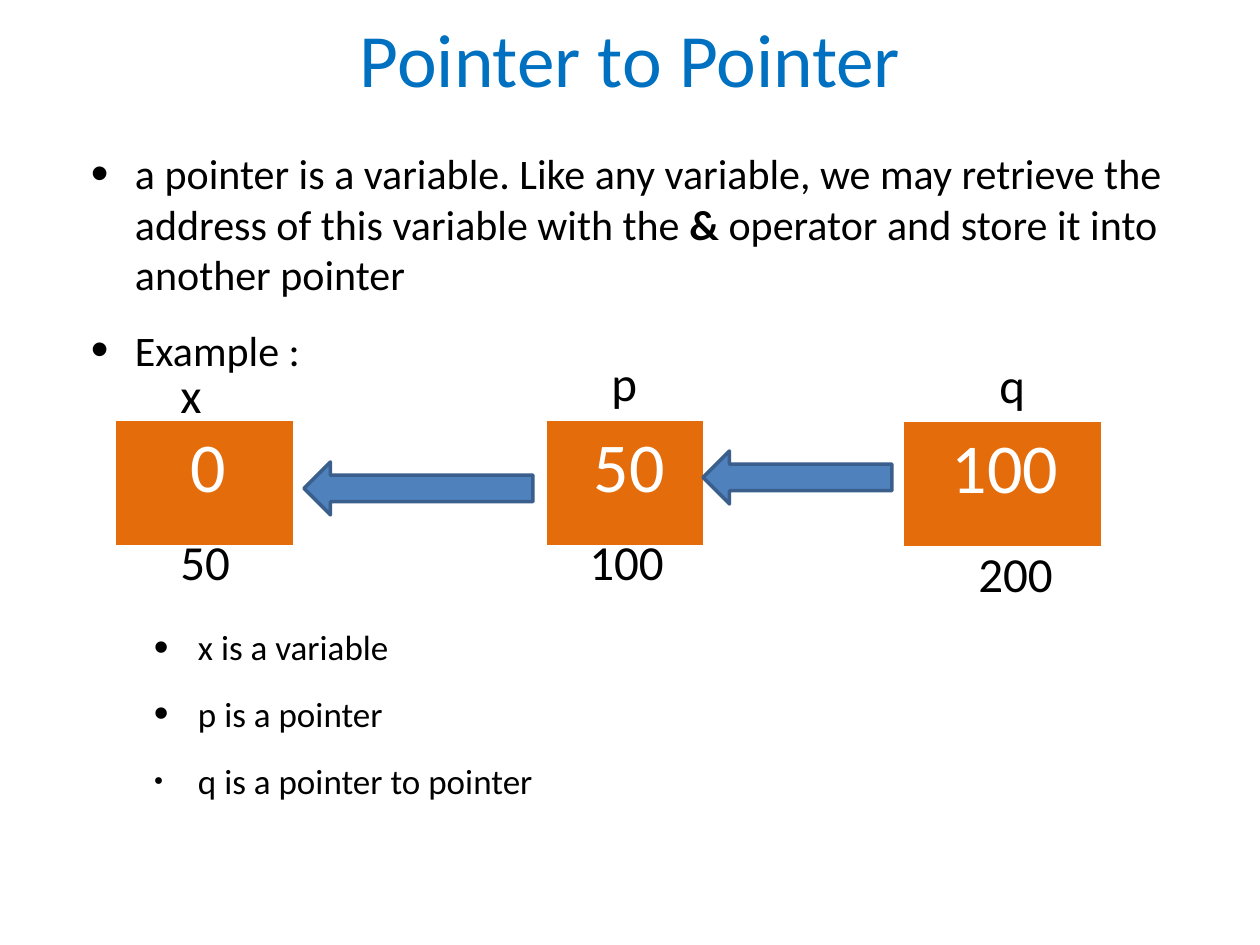
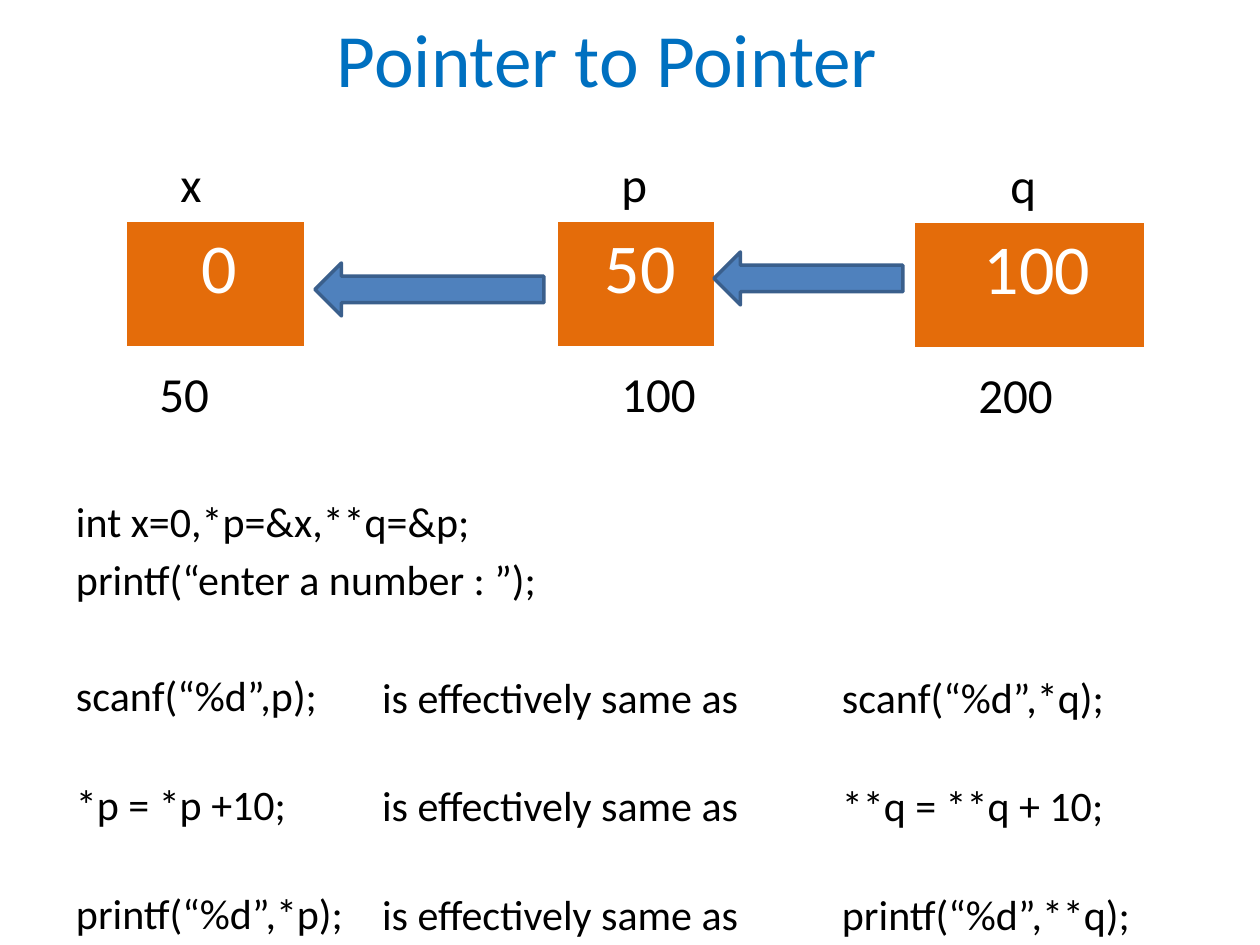
from dataclasses import dataclass

from lxml.etree import SubElement
from pptx import Presentation
from pptx.dml.color import RGBColor
from pptx.enum.shapes import MSO_SHAPE
from pptx.enum.text import MSO_ANCHOR, MSO_AUTO_SIZE, PP_ALIGN
from pptx.oxml import parse_xml
from pptx.oxml.ns import nsdecls, qn
from pptx.util import Emu, Pt

PX_PER_INCH = 126
SLIDE_WIDTH, SLIDE_HEIGHT = 1260, 945
FONT = "Calibri"
COLORS = {
    "title": "0070C0",
    "text": "000000",
    "cell": "E46C0A",
    "cell text": "FFFFFF",
    "arrow": "4F81BD",
    "arrow line": "3A5F8C",
}
CELL_BORDERS = {"lnL": 1, "lnR": 1, "lnT": 1, "lnB": 3}

# Measured from the top left corner of the variable x
CELL_OFFSETS = [(0, 0), (431, 0), (788, 1)]
ARROWS = [(189, 42, 229), (588, 31, 189)]
CELL_HEIGHT, ARROW_HEIGHT = 127, 53
LABEL_SIZE = (105, 72)


@dataclass
class Variable:
    name: str
    value: str
    address: str
    width: int
    indent: int
    name_at: tuple
    address_at: tuple


def px(length):
    return Emu(round(length * 914400 / PX_PER_INCH))


def box(*lengths):
    return [px(length) for length in lengths]


def rgb(name):
    return RGBColor.from_string(COLORS[name])


class Deck:
    """Holds the shared style and the slide being filled."""

    def __init__(self):
        self.presentation = Presentation()
        self.presentation.slide_width = px(SLIDE_WIDTH)
        self.presentation.slide_height = px(SLIDE_HEIGHT)
        self.slide = None

    def add_slide(self, title, title_left):
        layout = self.presentation.slide_layouts[1]
        self.slide = self.presentation.slides.add_slide(layout)
        frame = self.fit_placeholder(0, title_left, 15, 1108, 84)
        frame.vertical_anchor = MSO_ANCHOR.MIDDLE
        paragraph = frame.paragraphs[0]
        paragraph.text = title
        paragraph.alignment = PP_ALIGN.CENTER
        self.set_font(paragraph, 43, "title")

    def clear_frame(self, frame):
        """Drop the insets, wrap the text and keep the box size."""
        frame.margin_left = frame.margin_right = 0
        frame.margin_top = frame.margin_bottom = 0
        frame.word_wrap = True
        frame.auto_size = MSO_AUTO_SIZE.NONE
        return frame

    def fit_placeholder(self, index, left, top, width, height):
        shape = self.slide.placeholders[index]
        shape.left, shape.top, shape.width, shape.height = box(left, top, width, height)
        return self.clear_frame(shape.text_frame)

    def set_font(self, paragraph, size, color="text"):
        font = paragraph.font
        font.name = FONT
        font.size = Pt(size)
        font.color.rgb = rgb(color)

    def next_paragraph(self, frame, position):
        return frame.add_paragraph() if position else frame.paragraphs[0]

    def add_bullets(self, items):
        """Each item: runs (every second one bold), level, size, gap, bullet, bullet percent."""
        frame = self.fit_placeholder(1, 76, 148, 1108, 765)
        for position, (runs, level, size, gap, bullet, percent) in enumerate(items):
            paragraph = self.next_paragraph(frame, position)
            for number, text in enumerate(runs):
                run = paragraph.add_run()
                run.text = text
                if number % 2:
                    run.font.bold = True
            paragraph.level = level
            properties = paragraph._p.get_or_add_pPr()
            properties.set("marL", str(px(59 + 63 * level)))
            properties.set("indent", str(px(-44)))
            bullet_color = SubElement(properties, qn("a:buClr"))
            SubElement(bullet_color, qn("a:srgbClr"), val=COLORS["text"])
            SubElement(properties, qn("a:buSzPct"), val=str(percent * 1000))
            SubElement(properties, qn("a:buChar"), char=bullet)
            paragraph.space_before = Pt(gap)
            self.set_font(paragraph, size)

    def fill_code(self, frame, lines, gaps):
        for position, (line, gap) in enumerate(zip(lines, gaps)):
            paragraph = self.next_paragraph(frame, position)
            paragraph.text = line
            properties = paragraph._p.get_or_add_pPr()
            properties.set("marL", "0")
            properties.set("indent", "0")
            SubElement(properties, qn("a:buNone"))
            paragraph.space_before = Pt(gap)
            self.set_font(paragraph, 24)

    def add_code(self, lines, gaps):
        self.fill_code(self.fit_placeholder(1, 76, 495, 300, 450), lines, gaps)
        # The two opening lines are wider than the first column
        self.slide.placeholders[1].width = px(1108)

    def add_code_column(self, left, width, lines, gaps):
        shape = self.slide.shapes.add_textbox(*box(left, 671, width, 274))
        self.fill_code(self.clear_frame(shape.text_frame), lines, gaps)

    def add_label(self, text, left, top):
        frame = self.slide.shapes.add_textbox(*box(left, top, *LABEL_SIZE)).text_frame
        frame.word_wrap = True
        frame.auto_size = MSO_AUTO_SIZE.SHAPE_TO_FIT_TEXT
        paragraph = frame.paragraphs[0]
        paragraph.text = text
        self.set_font(paragraph, 28)

    def add_value_cell(self, value, left, top, width, indent):
        lengths = box(left, top, width, CELL_HEIGHT)
        table = self.slide.shapes.add_table(1, 1, *lengths).table
        table.first_row = table.horz_banding = False
        cell = table.cell(0, 0)
        cell.margin_left = px(indent)
        cell.margin_right = 0
        cell.fill.solid()
        cell.fill.fore_color.rgb = rgb("cell")
        properties = cell._tc.get_or_add_tcPr()
        for position, (side, points) in enumerate(CELL_BORDERS.items()):
            border = parse_xml(
                f'<a:{side} {nsdecls("a")} w="{Pt(points)}"><a:solidFill>'
                f'<a:srgbClr val="{COLORS["cell text"]}"/></a:solidFill></a:{side}>'
            )
            properties.insert(position, border)
        paragraph = cell.text_frame.paragraphs[0]
        paragraph.text = value
        self.set_font(paragraph, 40, "cell text")

    def add_arrow(self, left, top, width):
        lengths = box(left, top, width, ARROW_HEIGHT)
        arrow = self.slide.shapes.add_shape(MSO_SHAPE.LEFT_ARROW, *lengths)
        arrow.shadow.inherit = False
        arrow.fill.solid()
        arrow.fill.fore_color.rgb = rgb("arrow")
        arrow.line.color.rgb = rgb("arrow line")
        arrow.line.width = Pt(2)

    def add_memory_diagram(self, left, top, variables):
        for variable, (across, down) in zip(variables, CELL_OFFSETS):
            self.add_value_cell(variable.value, left + across, top + down,
                                variable.width, variable.indent)
            self.add_label(variable.name, *variable.name_at)
            self.add_label(variable.address, *variable.address_at)
        for across, down, width in ARROWS:
            self.add_arrow(left + across, top + down, width)


def main():
    deck = Deck()
    title = "Pointer to Pointer"

    deck.add_slide(title, 76)
    deck.add_bullets([
        (["a pointer is a variable. Like any variable, we may retrieve the "
          "address of this variable with the", " &",
          " operator and store it into another pointer"], 0, 24, 14.2, "•", 120),
        (["Example :"], 0, 24, 14.2, "•", 120),
        (["x is a variable"], 1, 20, 143.5, "•", 120),
        (["p is a pointer"], 1, 20, 14.2, "•", 120),
        (["q is a pointer to pointer"], 1, 20, 14.2, "●", 45),
    ])
    deck.add_memory_diagram(115, 420, [
        Variable("x", "0", "50", 179, 76, (168, 358), (168, 525)),
        Variable("p", "50", "100", 158, 48, (599, 346), (577, 525)),
        Variable("q", "100", "200", 199, 49, (987, 348), (966, 537)),
    ])

    deck.add_slide(title, 53)
    row_gap = 33.3
    deck.add_code([
        "int x=0,*p=&x,**q=&p;",
        "printf(“enter a number : ”);",
        "scanf(“%d”,p);",
        "*p = *p +10;",
        "printf(“%d”,*p);",
    ], [0, 4.8, 37.6, row_gap, row_gap])
    column_gaps = [0, row_gap, row_gap]
    deck.add_code_column(382, 400, ["is effectively same as"] * 3, column_gaps)
    deck.add_code_column(842, 342, [
        "scanf(“%d”,*q);",
        "**q = **q + 10;",
        "printf(“%d”,**q);",
    ], column_gaps)
    deck.add_memory_diagram(126, 221, [
        Variable("x", "0", "50", 179, 76, (168, 147), (147, 357)),
        Variable("p", "50", "100", 158, 48, (609, 147), (609, 357)),
        Variable("q", "100", "200", 231, 70, (998, 148), (966, 358)),
    ])

    deck.presentation.save("out.pptx")


if __name__ == "__main__":
    main()
